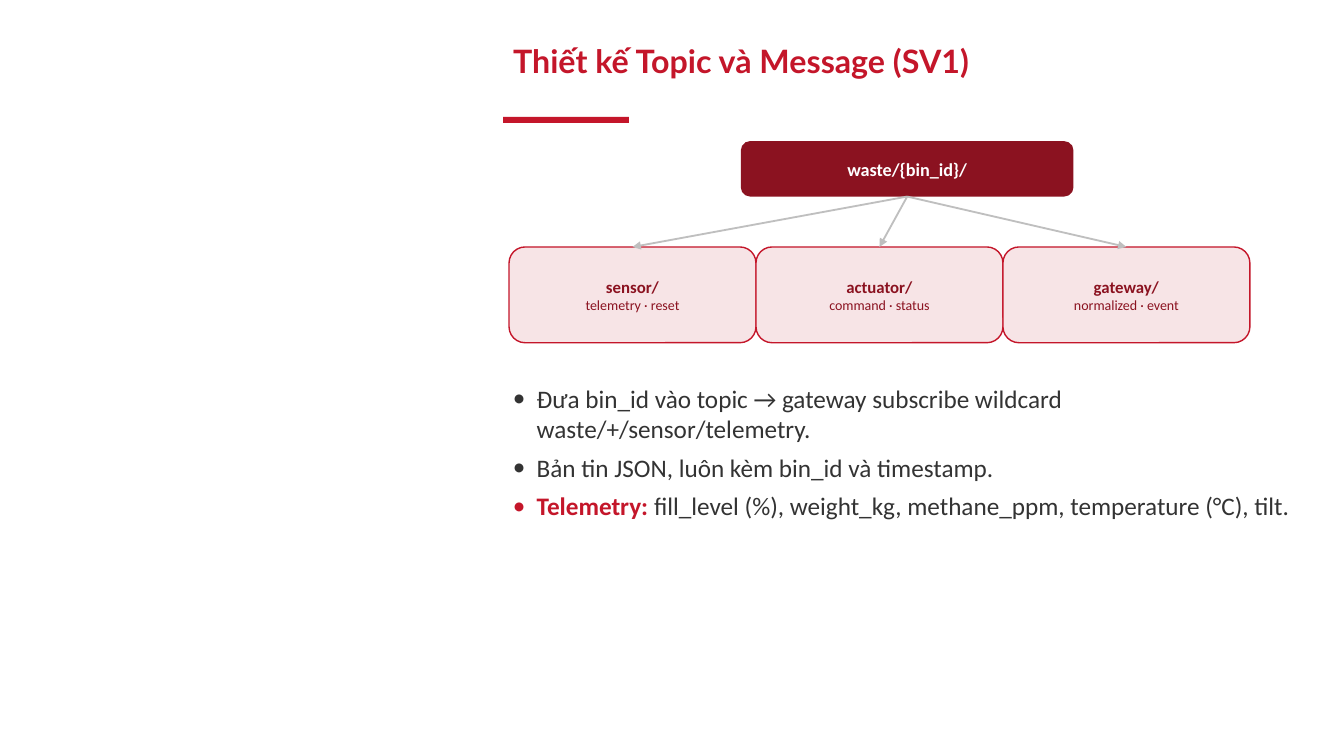
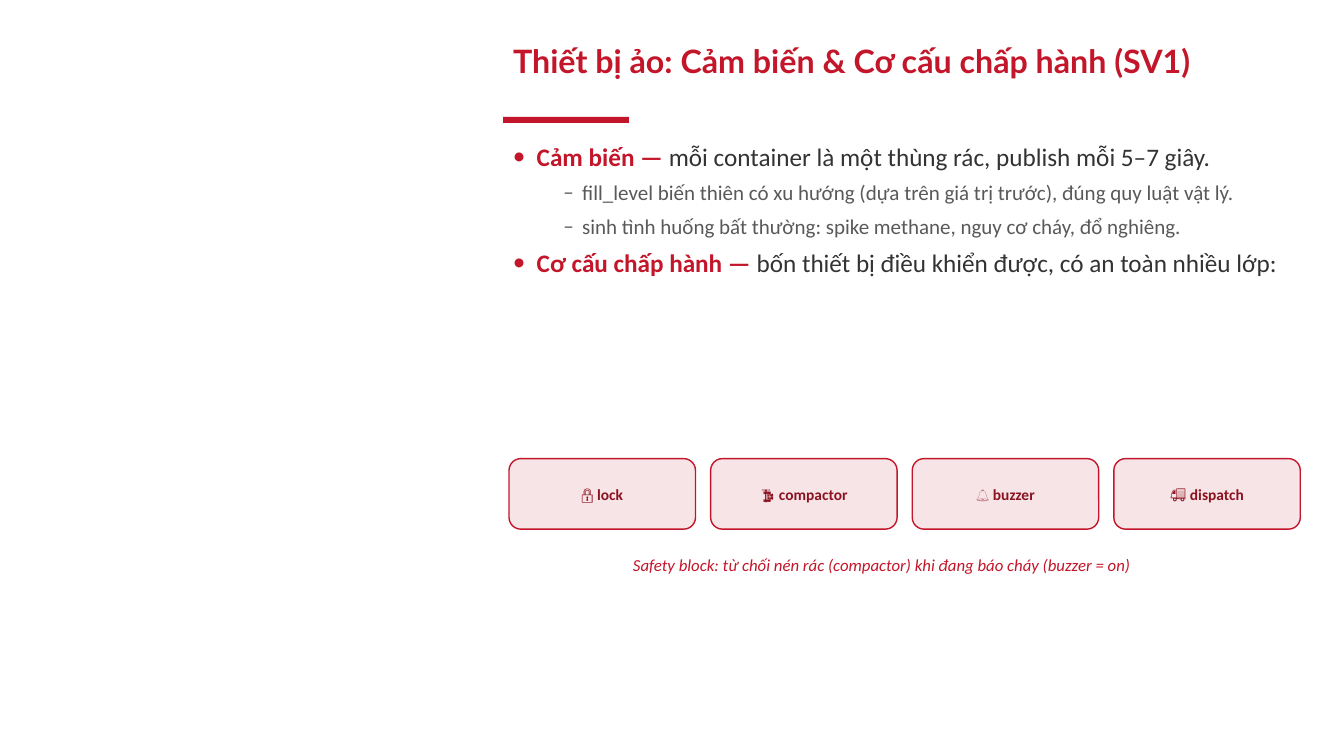
from lxml import etree
from pptx import Presentation
from pptx.dml.color import RGBColor
from pptx.enum.shapes import MSO_CONNECTOR, MSO_SHAPE
from pptx.enum.text import MSO_ANCHOR, MSO_AUTO_SIZE, PP_ALIGN
from pptx.oxml.ns import qn
from pptx.util import Pt

COLORS = {
    "red": "C4162A",
    "dark_red": "8B1220",
    "pink": "F7E4E6",
    "white": "FFFFFF",
    "arrow": "BFBFBF",
    "text": "333333",
    "detail": "595959",
}
BODY_FONT = "Calibri"
TITLE_FONT = "Lato"
CONTENT_LEFT = 359.28
CONTENT_WIDTH = 579.6
CARDS_LEFT = 363.6
# Per outline level: bullet, text indent, hang, size, colour
LEVELS = [("•", 17, 17, 18, "text"), ("–", 49.5, 13.5, 15, "detail")]


def rgb(color):
    return RGBColor.from_string(COLORS[color])


def style_run(run, size, color, bold=False, italic=False, font=BODY_FONT):
    run.font.name = font
    run.font.size = Pt(size)
    run.font.color.rgb = rgb(color)
    run.font.bold = bold
    run.font.italic = italic


def add_title_slide(deck, title):
    """Add a slide with its title and the short red rule below it."""
    slide = deck.slides.add_slide(deck.slide_layouts[5])
    heading = slide.shapes.title
    heading.left, heading.top = Pt(CONTENT_LEFT), Pt(28.8)
    heading.width, heading.height = Pt(CONTENT_WIDTH), Pt(57.6)
    frame = heading.text_frame
    frame.text = title
    frame.auto_size = MSO_AUTO_SIZE.NONE
    frame.vertical_anchor = MSO_ANCHOR.TOP
    paragraph = frame.paragraphs[0]
    paragraph.alignment = PP_ALIGN.LEFT
    paragraph.line_spacing = 0.9
    style_run(paragraph.runs[0], 23, "red", bold=True, font=TITLE_FONT)
    add_box(slide, MSO_SHAPE.RECTANGLE, CONTENT_LEFT, 83.52, 90, 4.32, "red")
    return slide


def add_box(slide, preset, left, top, width, height, fill, outline=None):
    box = slide.shapes.add_shape(preset, Pt(left), Pt(top), Pt(width), Pt(height))
    box.shadow.inherit = False
    box.fill.solid()
    box.fill.fore_color.rgb = rgb(fill)
    if outline:
        box.line.color.rgb = rgb(outline)
        box.line.width = Pt(1)
    else:
        box.line.fill.background()
    return box


def add_card(slide, left, top, width, height, lines, fill="pink",
             outline="red", color="dark_red"):
    """Add a rounded card; lines holds (text, size), the first one bold."""
    card = add_box(slide, MSO_SHAPE.ROUNDED_RECTANGLE, left, top, width, height,
                   fill, outline)
    frame = card.text_frame
    frame.word_wrap = True
    frame.vertical_anchor = MSO_ANCHOR.MIDDLE
    frame.margin_left = frame.margin_right = Pt(2.88)
    frame.margin_top = frame.margin_bottom = Pt(2.16)
    frame.text = "\n".join(text for text, _ in lines)
    for index, (paragraph, (_, size)) in enumerate(zip(frame.paragraphs, lines)):
        paragraph.alignment = PP_ALIGN.CENTER
        style_run(paragraph.runs[0], size, color, bold=index == 0)
    return card


def add_arrow(slide, parent, child):
    """Join the bottom of parent to the top of child."""
    arrow = slide.shapes.add_connector(MSO_CONNECTOR.STRAIGHT, 0, 0, 0, 0)
    arrow.begin_connect(parent, 2)
    arrow.end_connect(child, 0)
    arrow.line.color.rgb = rgb("arrow")
    arrow.line.width = Pt(1.3)
    etree.SubElement(arrow.line._get_or_add_ln(), qn("a:tailEnd"), type="triangle")
    etree.SubElement(arrow._element.spPr, qn("a:effectLst"))


def add_text_box(slide, left, top, width, height):
    box = slide.shapes.add_textbox(Pt(left), Pt(top), Pt(width), Pt(height))
    box.text_frame.word_wrap = True
    return box.text_frame


def set_bullet(paragraph, bullet, indent, hang, color):
    properties = paragraph._p.get_or_add_pPr()
    properties.set("marL", str(Pt(indent)))
    properties.set("indent", str(-Pt(hang)))
    bullet_color = etree.SubElement(properties, qn("a:buClr"))
    etree.SubElement(bullet_color, qn("a:srgbClr"), val=COLORS[color])
    etree.SubElement(properties, qn("a:buFont"), typeface=BODY_FONT)
    etree.SubElement(properties, qn("a:buChar"), char=bullet)


def add_bullets(slide, top, height, items):
    """Add an outline; each item is (level, red lead-in, text)."""
    frame = add_text_box(slide, CONTENT_LEFT, top, CONTENT_WIDTH, height)
    for index, (level, lead, text) in enumerate(items):
        paragraph = frame.add_paragraph() if index else frame.paragraphs[0]
        bullet, indent, hang, size, color = LEVELS[level]
        set_bullet(paragraph, bullet, indent, hang, "red" if lead else color)
        paragraph.level = level
        paragraph.space_after = Pt(6)
        if lead:
            lead_run = paragraph.add_run()
            lead_run.text = lead + " "
            style_run(lead_run, size, "red", bold=True)
        text_run = paragraph.add_run()
        text_run.text = text
        style_run(text_run, size, color)


def add_note(slide, left, top, width, height, text):
    frame = add_text_box(slide, left, top, width, height)
    frame.text = text
    paragraph = frame.paragraphs[0]
    paragraph.alignment = PP_ALIGN.CENTER
    style_run(paragraph.runs[0], 12, "red", italic=True)


def build_topic_slide(deck):
    slide = add_title_slide(deck, "Thiết kế Topic và Message (SV1)")
    root = add_card(slide, 529.2, 100.8, 237.6, 39.6, [("waste/{bin_id}/", 13)],
                    fill="dark_red", outline=None, color="white")
    branches = [
        ("sensor/", "telemetry · reset"),
        ("actuator/", "command · status"),
        ("gateway/", "normalized · event"),
    ]
    branch_width = 176.4
    for index, (topic, messages) in enumerate(branches):
        branch = add_card(slide, CARDS_LEFT + index * branch_width, 176.4,
                          branch_width, 68.4, [(topic, 12), (messages, 10)])
        add_arrow(slide, root, branch)
    add_bullets(slide, 270, 223.2, [
        (0, "", "Đưa bin_id vào topic → gateway subscribe wildcard "
                "waste/+/sensor/telemetry."),
        (0, "", "Bản tin JSON, luôn kèm bin_id và timestamp."),
        (0, "Telemetry:",
         "fill_level (%), weight_kg, methane_ppm, temperature (°C), tilt."),
    ])


def build_device_slide(deck):
    slide = add_title_slide(deck, "Thiết bị ảo: Cảm biến & Cơ cấu chấp hành (SV1)")
    add_bullets(slide, 97.2, 280.8, [
        (0, "Cảm biến —", "mỗi container là một thùng rác, publish mỗi 5–7 giây."),
        (1, "", "fill_level biến thiên có xu hướng (dựa trên giá trị trước), "
                "đúng quy luật vật lý."),
        (1, "", "sinh tình huống bất thường: spike methane, nguy cơ cháy, "
                "đổ nghiêng."),
        (0, "Cơ cấu chấp hành —",
         "bốn thiết bị điều khiển được, có an toàn nhiều lớp:"),
    ])
    device_width, gap = 133.2, 10.8
    devices = ["🔒 lock", "🗜 compactor", "🔔 buzzer", "🚚 dispatch"]
    for index, device in enumerate(devices):
        add_card(slide, CARDS_LEFT + index * (device_width + gap), 327.6,
                 device_width, 50.4, [(device, 11)])
    add_note(slide, CARDS_LEFT, 392.4, 532.8, 15.84,
             "Safety block: từ chối nén rác (compactor) khi đang báo cháy "
             "(buzzer = on)")


def main():
    deck = Presentation()
    deck.slide_width, deck.slide_height = Pt(960), Pt(540)
    build_topic_slide(deck)
    build_device_slide(deck)
    deck.save("out.pptx")


if __name__ == "__main__":
    main()
